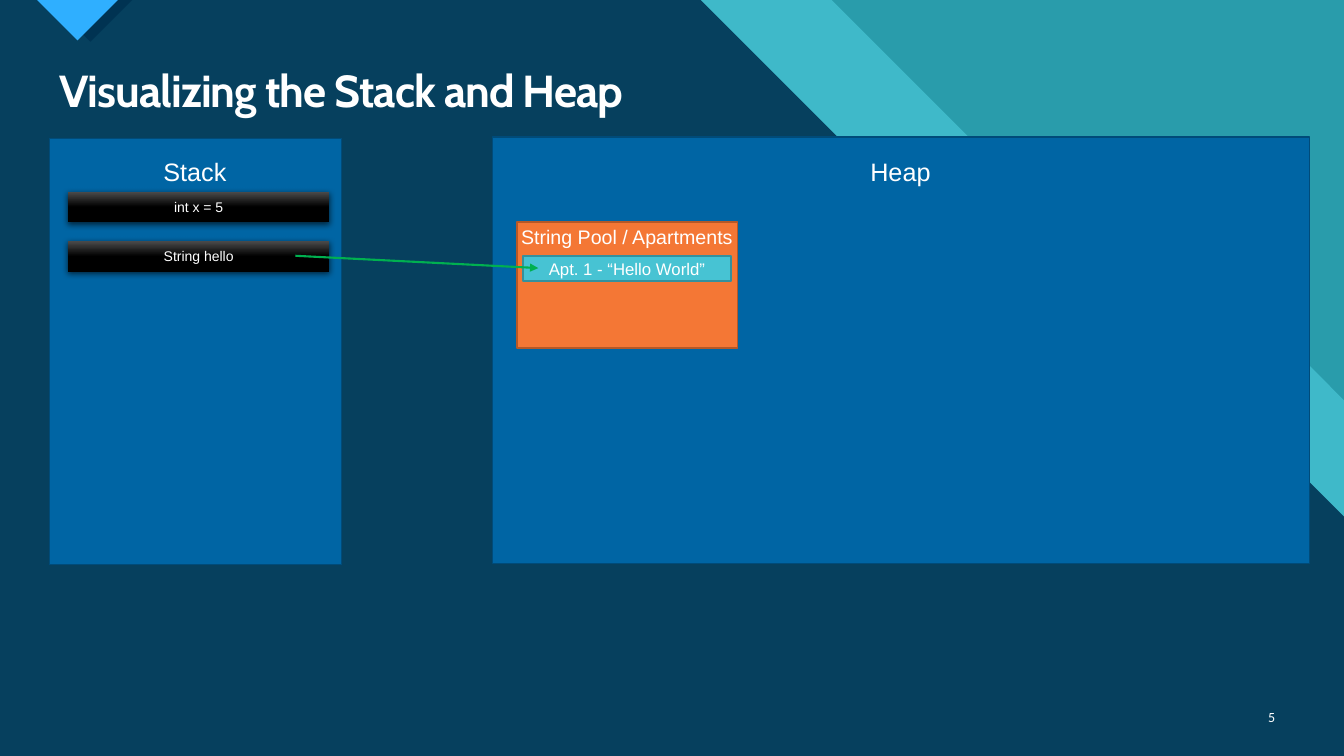
from dataclasses import dataclass

from lxml.etree import SubElement as Sub
from pptx import Presentation
from pptx.dml.color import RGBColor as RGB
from pptx.enum.shapes import MSO_CONNECTOR as Link, MSO_SHAPE as Kind
from pptx.enum.text import MSO_ANCHOR as Anchor, PP_ALIGN as Align
from pptx.oxml.ns import qn
from pptx.util import Pt


@dataclass(frozen=True)
class Theme:
    """Colours, fonts and type sizes."""
    teal: str = "299CAB"
    band: str = "3FB9C9"
    navy: str = "06405E"
    shade: str = "003352"
    mark: str = "2FAFFF"
    blue: str = "0065A4"
    blue_edge: str = "004B79"
    pool: str = "F47735"
    pool_edge: str = "B55827"
    unit: str = "47C3D3"
    unit_edge: str = "35909C"
    gloss: str = "4B4B4B"
    black: str = "000000"
    green: str = "00B050"
    white: str = "FFFFFF"
    head: str = "Cabin"
    body: str = "Arial"
    foot: str = "Calibri"
    title: int = 32
    large: int = 18
    medium: int = 14
    small: int = 12
    tiny: int = 10


class Deck:
    """Holds the theme and the current slide."""

    def __init__(self, theme):
        """Start a widescreen deck with one blank slide."""
        self.theme = theme
        self.show = Presentation()
        self.show.slide_width, self.show.slide_height = Pt(960), Pt(540)
        self.slide = self.show.slides.add_slide(self.show.slide_layouts[6])
        back = self.slide.background.fill
        back.solid()
        back.fore_color.rgb = RGB.from_string(theme.teal)

    def paint(self, shape, fill, edge=None):
        """Give a shape a flat fill and an optional thin edge."""
        shape.shadow.inherit = False
        shape.fill.solid()
        shape.fill.fore_color.rgb = RGB.from_string(fill)
        if edge:
            shape.line.color.rgb = RGB.from_string(edge)
            shape.line.width = Pt(1)
        else:
            shape.line.fill.background()

    def letter(self, shape, text, size, font, align, anchor):
        """Set white text on a shape and return its run."""
        frame = shape.text_frame
        frame.text = text
        frame.vertical_anchor = anchor
        para = frame.paragraphs[0]
        para.alignment = align
        run = para.runs[0]
        run.font.size, run.font.name = Pt(size), font
        run.font.color.rgb = RGB.from_string(self.theme.white)
        return run

    def outline(self, points, fill):
        """Draw a closed polygon."""
        first, *rest = [(Pt(x), Pt(y)) for x, y in points]
        pen = self.slide.shapes.build_freeform(*first, scale=1.0)
        pen.add_line_segments(rest, close=True)
        self.paint(pen.convert_to_shape(), fill)

    def box(self, area, fill, edge=None):
        """Draw a rectangle."""
        shape = self.slide.shapes.add_shape(Kind.RECTANGLE, *map(Pt, area))
        self.paint(shape, fill, edge)
        return shape

    def label(self, area, text, size, font=None, align=Align.CENTER,
              anchor=Anchor.TOP, wrap=False):
        """Add a text box and return its run."""
        shape = self.slide.shapes.add_textbox(*map(Pt, area))
        shape.text_frame.word_wrap = wrap
        return self.letter(shape, text, size, font or self.theme.body,
                           align, anchor)

    def slot(self, area, text):
        """Draw a glossy stack entry with a soft shadow."""
        theme = self.theme
        shape = self.box(area, theme.black)
        shape.fill.gradient()
        shape.fill.gradient_angle = 270
        stops = zip(shape.fill.gradient_stops, (theme.gloss, theme.black),
                    (0, 0.5))
        for stop, tone, place in stops:
            stop.color.rgb = RGB.from_string(tone)
            stop.position = place
        glow = Sub(shape._element.spPr.find(qn("a:effectLst")),
                   qn("a:outerShdw"), blurRad=str(Pt(4.5)),
                   dist=str(Pt(1.5)), dir="5400000", rotWithShape="0")
        tone = Sub(glow, qn("a:srgbClr"), val=theme.black)
        Sub(tone, qn("a:alpha"), val="63000")
        self.letter(shape, text, theme.tiny, theme.body,
                    Align.CENTER, Anchor.MIDDLE)

    def arrow(self, start, end, color):
        """Draw a straight arrow."""
        line = self.slide.shapes.add_connector(
            Link.STRAIGHT, *map(Pt, start + end))
        line.line.color.rgb = RGB.from_string(color)
        line.line.width = Pt(1.5)
        form = line._element.spPr
        Sub(form.find(qn("a:ln")), qn("a:tailEnd"), type="triangle")
        Sub(form, qn("a:effectLst"))


def frame(deck):
    """Draw the backdrop, title and slide number."""
    theme = deck.theme
    bands = ((594, 808, 888.5, 286, theme.band),
             (500.4, 714.4, 805, 369, theme.navy))
    for top, bend, turn, end, fill in bands:
        deck.outline([(0, 0), (top, 0), (bend, 214), (turn, 214),
                      (960, end), (960, 540), (0, 540)], fill)
    for mid, half, fill in ((64.6, 29.8, theme.shade),
                            (55.4, 28.8, theme.mark)):
        deck.outline([(mid - half, 0), (mid + half, 0), (mid, half)], fill)
    run = deck.label((35.3, 42.5, 882.7, 42.5),
                     "Visualizing the Stack and Heap", theme.title,
                     theme.head, Align.LEFT, Anchor.MIDDLE, True)
    run.font.bold = True
    run._r.get_or_add_rPr().set("spc", "-70")
    deck.label((886.3, 497.5, 31.7, 28.8), "5", theme.tiny, theme.foot,
               Align.RIGHT, Anchor.MIDDLE, True)


def memory(deck):
    """Draw the stack, the heap and the reference between them."""
    theme = deck.theme
    deck.box((35.3, 98.8, 208.8, 304.6), theme.blue, theme.blue_edge)
    deck.box((352, 97.9, 583.2, 304.6), theme.blue, theme.blue_edge)
    deck.label((109.4, 108, 59.8, 28.8), "Stack", theme.large)
    deck.label((614, 108, 58.3, 28.8), "Heap", theme.large)

    deck.box((369.4, 158.5, 157.3, 90.2), theme.pool, theme.pool_edge)
    deck.label((364.7, 157, 166.3, 24.5), "String Pool / Apartments",
               theme.medium)
    deck.box((373.7, 182.8, 148.5, 18), theme.unit, theme.unit_edge)
    deck.label((384.2, 181, 127.4, 21.6), "Apt. 1 - “Hello World”",
               theme.small)

    for row, text in enumerate(("int x = 5", "String hello")):
        deck.slot((48.6, 137 + row * 35.2, 186.5, 21.8), text)
    deck.arrow((211, 182.7), (384.5, 191.5), theme.green)


deck = Deck(Theme())
frame(deck)
memory(deck)
deck.show.save("out.pptx")
